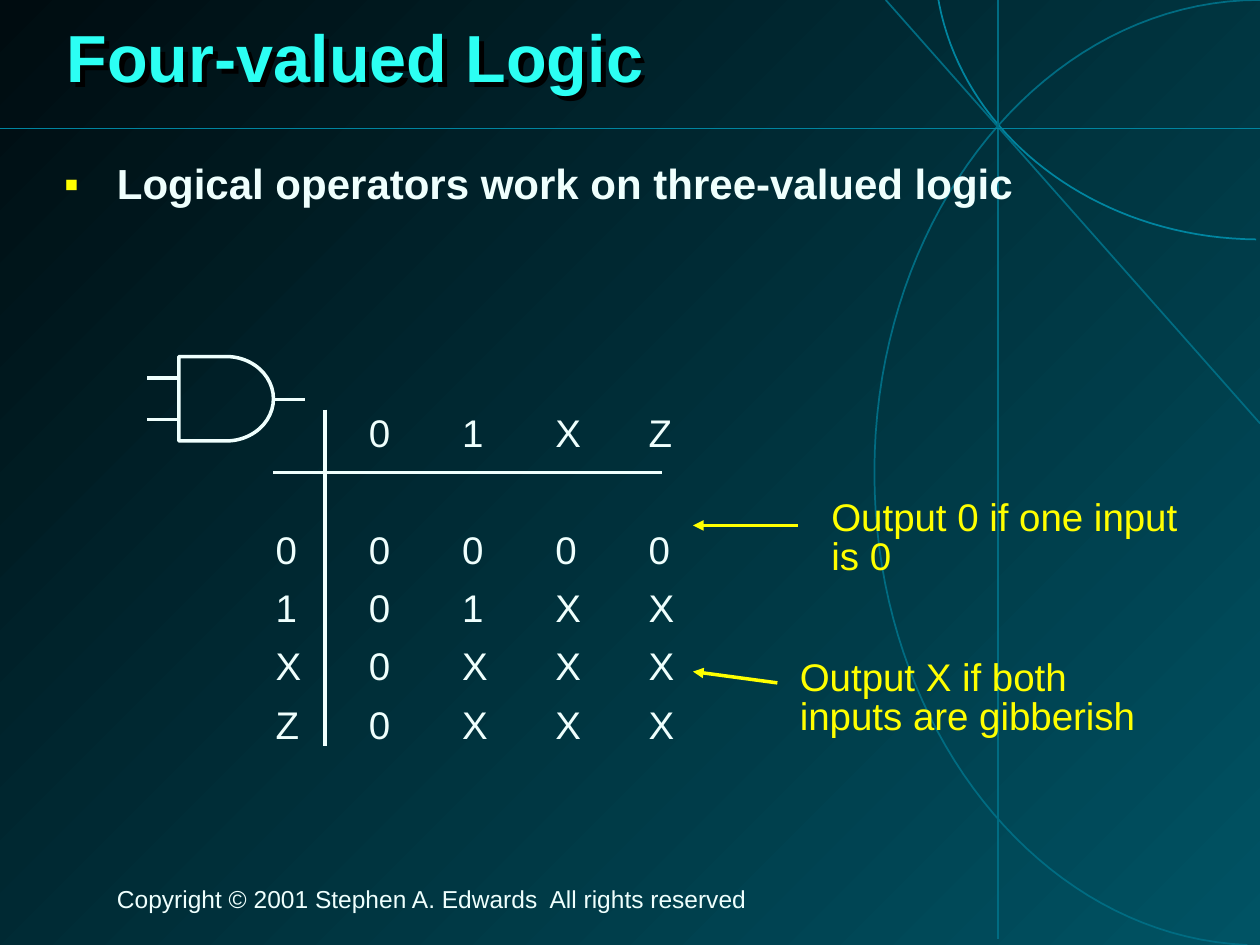
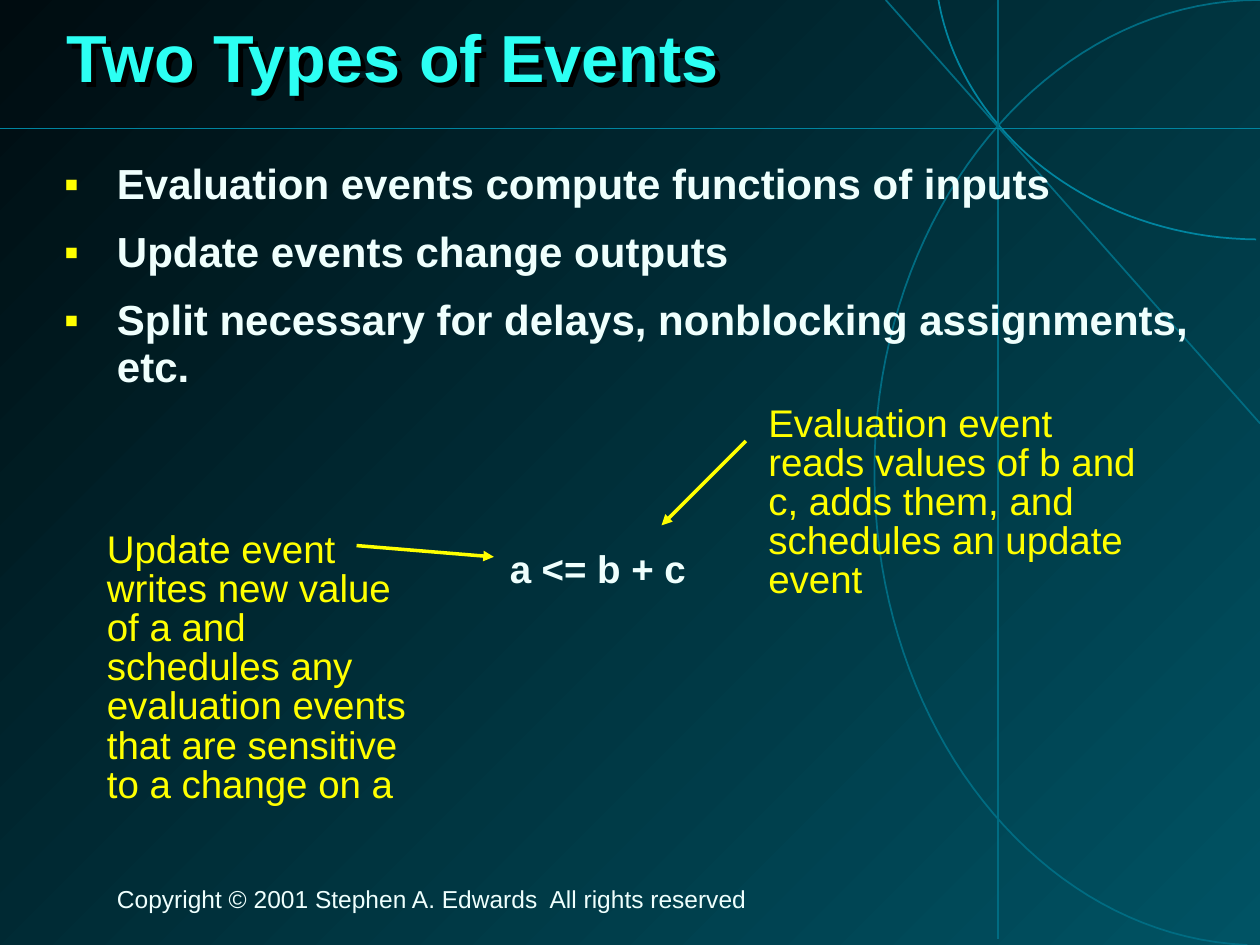
"""Build two lecture slides on four-valued logic and simulation events."""
from lxml import etree
from pptx import Presentation
from pptx.dml.color import RGBColor
from pptx.enum import shapes, text
from pptx.oxml import ns
from pptx.util import Inches, Pt

BLACK = RGBColor(0x00, 0x00, 0x00)
NIGHT = RGBColor(0x00, 0x0C, 0x10)
TEAL = RGBColor(0x00, 0x53, 0x64)
DIM = RGBColor(0x00, 0x6C, 0x82)
BRIGHT = RGBColor(0x00, 0x85, 0xA0)
CYAN = RGBColor(0x2C, 0xFF, 0xF3)
PALE = RGBColor(0xEF, 0xFF, 0xFD)
YELLOW = RGBColor(0xFF, 0xFF, 0x00)
FONT = "Arial"
LEFT, CENTER = text.PP_ALIGN.LEFT, text.PP_ALIGN.CENTER
TOP, MIDDLE = text.MSO_ANCHOR.TOP, text.MSO_ANCHOR.MIDDLE
NOTICE = "Copyright © 2001 Stephen A. Edwards  All rights reserved"
ARCS = [
    (DIM, [[(9.9, 7.5), (8.25, 7.43), (6.94, 5.77), (6.94, 3.75)],
           [(6.94, 3.75), (6.94, 1.68), (8.31, 0), (10, 0)]]),
    (BRIGHT, [[(9.97, 1.9), (8.69, 1.89), (7.61, 1.06), (7.44, -0.05)]]),
]
RULES = [
    (DIM, (10, 3.36), (7.03, 0)),
    (DIM, (7.92, 0), (7.92, 7.45)),
    (BRIGHT, (0, 1.02), (10, 1.02)),
]


def sub(parent, tag, **attrs):
    return etree.SubElement(parent, ns.qn(tag), attrs)


def bezier(pts, steps=40):
    for i in range(steps + 1):
        t = i / steps
        mix = ((1 - t) ** 3, 3 * t * (1 - t) ** 2, 3 * t * t * (1 - t), t ** 3)
        yield tuple(Inches(sum(m * p[k] for m, p in zip(mix, pts))) for k in (0, 1))


class Deck:
    def __init__(self):
        self.prs = Presentation()
        self.prs.slide_width, self.prs.slide_height = Inches(10), Inches(7.5)
        self.slide = None

    def add(self, title):
        self.slide = self.prs.slides.add_slide(self.prs.slide_layouts[5])
        self.back()
        for color, parts in ARCS:
            self.arc(color, parts)
        for color, start, end in RULES:
            self.line(start, end, color, 1)
        self.box((0.83, 7, 8.08, 0.3), [NOTICE], size=14)
        self.title(title)

    def back(self):
        fill = self.slide.background.fill
        fill.gradient()
        fill.gradient_angle = 315
        for stop, color in zip(fill.gradient_stops, (NIGHT, TEAL)):
            stop.color.rgb = color

    def place(self, shape, area):
        shape.left, shape.top, shape.width, shape.height = map(Inches, area)

    def outline(self, shape, color, width):
        shape.shadow.inherit = False
        shape.fill.background()
        shape.line.color.rgb = color
        shape.line.width = Pt(width)

    def arc(self, color, parts):
        pts = [p for part in parts for p in bezier(part)]
        form = self.slide.shapes.build_freeform(*pts[0])
        form.add_line_segments(pts[1:], close=False)
        self.outline(form.convert_to_shape(), color, 1)

    def line(self, start, end, color=PALE, width=2, arrow=False):
        ends = map(Inches, start + end)
        line = self.slide.shapes.add_connector(shapes.MSO_CONNECTOR.STRAIGHT, *ends)
        line.line.color.rgb = color
        line.line.width = Pt(width)
        props = line._element.spPr
        if arrow:
            sub(props.find(ns.qn("a:ln")), "a:tailEnd", type="triangle")
        sub(props, "a:effectLst")

    def arrow(self, start, end):
        self.line(start, end, YELLOW, arrow=True)

    def gate(self, area):
        kind = shapes.MSO_SHAPE.FLOWCHART_DELAY
        shape = self.slide.shapes.add_shape(kind, *map(Inches, area))
        self.outline(shape, PALE, 2)

    def run(self, para, words, size, color, bold=False):
        run = para.add_run()
        run.text = words
        font = run.font
        font.name, font.size, font.bold = FONT, Pt(size), bold
        font.color.rgb = color

    def title(self, words):
        shape = self.slide.shapes.title
        self.place(shape, (0.43, 0, 9.21, 0.98))
        shape.fill.background()
        glow = sub(shape._element.spPr, "a:effectLst")
        cast = sub(glow, "a:outerShdw", dist=str(Pt(4)), dir="2700000", algn="ctr")
        sub(cast, "a:srgbClr", val=str(BLACK))
        frame = shape.text_frame
        frame.vertical_anchor = MIDDLE
        frame.auto_size = text.MSO_AUTO_SIZE.NONE
        para = frame.paragraphs[0]
        para.alignment, para.line_spacing = LEFT, 0.87
        self.run(para, words, 38, CYAN, True)

    def box(self, area, lines, size=22, color=PALE, bold=False, align=LEFT,
            anchor=TOP, wrap=True, pitch=0.85):
        frame = self.slide.shapes.add_textbox(*map(Inches, area)).text_frame
        frame.word_wrap, frame.vertical_anchor = wrap, anchor
        for i, words in enumerate(lines):
            para = frame.add_paragraph() if i else frame.paragraphs[0]
            para.alignment, para.line_spacing = align, pitch
            para.space_before = Pt(size / 2 if i else 0)
            self.run(para, words, size, color, bold)
        return frame.paragraphs

    def bullets(self, lines):
        paras = self.box((0.41, 1.24, 9.12, 5.59), lines, 24, bold=True, pitch=0.93)
        for para in paras:
            props = para._p.get_or_add_pPr()
            props.set("marL", str(Inches(0.42)))
            props.set("indent", str(-Inches(0.42)))
            sub(sub(props, "a:buClr"), "a:srgbClr", val=str(YELLOW))
            sub(props, "a:buFont", typeface=FONT)
            sub(props, "a:buChar", char="▪")

    def grid(self, area, rows, step):
        paras = self.box(area, ["\t".join(row) for row in rows], anchor=MIDDLE)
        paras[1].space_before = Pt(44.4)
        for para in paras:
            tabs = sub(para._p.get_or_add_pPr(), "a:tabLst")
            for i in range(1, len(rows[0])):
                sub(tabs, "a:tab", pos=str(Inches(step * i)), algn="l")

    def note(self, area, words):
        self.box(area, [words], color=YELLOW)


def logic(deck):
    deck.add("Four-valued Logic")
    deck.bullets(["Logical operators work on three-valued logic"])
    rows = [("", *"01XZ"), "00000", "101XX", "X0XXX", "Z0XXX"]
    deck.grid((2.09, 3.17, 3.6, 2.89), rows, 0.74)
    deck.line((2.17, 3.75), (5.25, 3.75))
    deck.line((2.58, 3.25), (2.58, 5.92))
    deck.gate((1.42, 2.83, 0.75, 0.67))
    for x, y in ((2.17, 3.17), (1.17, 3), (1.17, 3.33)):
        deck.line((x, y), (x + 0.25, y))
    deck.arrow((6.33, 4.17), (5.5, 4.17))
    deck.note((6.5, 3.92, 3.17, 0.72), "Output 0 if one input is 0")
    deck.note((6.25, 5.19, 3.17, 0.72), "Output X if both inputs are gibberish")
    deck.arrow((6.17, 5.42), (5.5, 5.33))


def events(deck):
    deck.add("Two Types of Events")
    deck.bullets([
        "Evaluation events compute functions of inputs",
        "Update events change outputs",
        "Split necessary for delays, nonblocking assignments, etc.",
    ])
    deck.arrow((5.92, 3.5), (5.25, 4.17))
    deck.note((6, 3.17, 3.17, 1.65), "Evaluation event reads values of b and c, "
              "adds them, and schedules an update event")
    deck.box((3.94, 4.33, 1.61, 0.41), ["a <= b + c"], bold=True,
             align=CENTER, anchor=MIDDLE, wrap=False)
    deck.arrow((2.83, 4.33), (3.92, 4.42))
    deck.note((0.75, 4.17, 2.67, 2.28), "Update event writes new value of a and "
              "schedules any evaluation events that are sensitive to a change on a")


def main():
    deck = Deck()
    logic(deck)
    events(deck)
    deck.prs.save("out.pptx")


if __name__ == "__main__":
    main()
